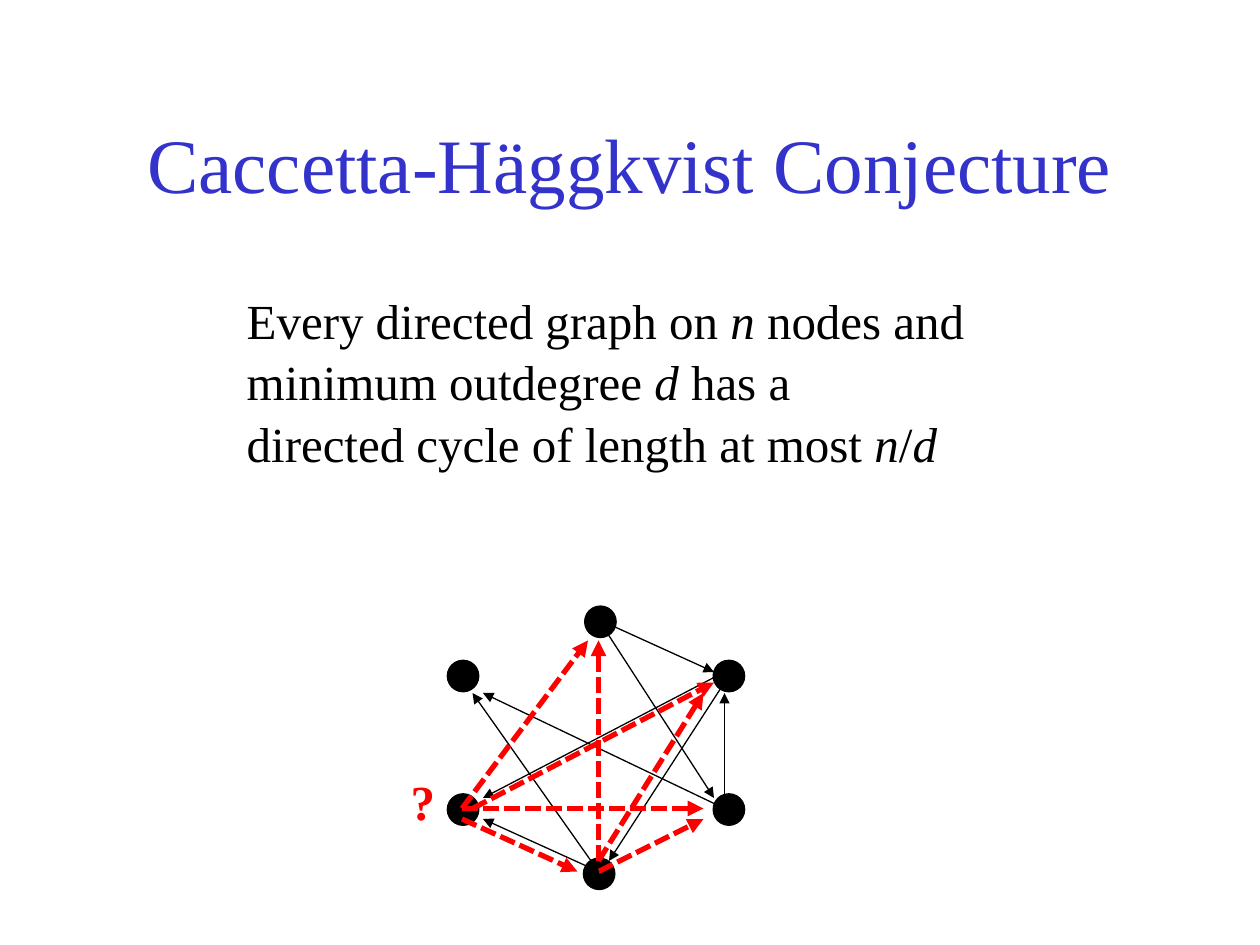
from lxml import etree
from pptx import Presentation
from pptx import util as u
from pptx.dml.color import RGBColor
from pptx.enum import dml, shapes, text
from pptx.oxml.ns import qn

COLORS = {"title": "3333CC", "ink": "000000", "question": "FF0000"}
FONT = "Times New Roman"
GRID = u.Inches(1) / 12
NODE_SIZE = 0.25

NODES = [(4.63, 6.81), (3.55, 6.3), (3.55, 5.24),
         (4.64, 4.81), (5.66, 5.24), (5.66, 6.3)]

# Arrow ends in grid columns and rows, from back to front
ARCS = [
    ("known", (57, 59), [(68, 64), (68, 76)]),
    ("known", (69, 65), [(58, 82)]),
    ("known", (69, 64), [(46, 76)]),
    ("known", (69, 77), [(69, 66), (46, 66)]),
    ("open", (57, 82), [(57, 61), (67, 66)]),
    ("open", (57, 83), [(67, 78)]),
    ("known", (57, 83), [(46, 78), (45, 66)]),
    ("open", (44, 77), [(56, 61)]),
    ("open", (45, 77), [(68, 65)]),
    ("open", (44, 77), [(67, 77)]),
    ("open", (44, 78), [(55, 83)]),
]

STATEMENT = [
    [("Every directed graph on ", False), ("n", True), (" nodes and", False)],
    [("minimum outdegree ", False), ("d", True), (" has a", False)],
    [("directed cycle of length at most ", False), ("n", True),
     ("/", False), ("d", True)],
]


def color(name):
    return RGBColor.from_string(COLORS[name])


def style(run, size, name, bold=False, italic=False):
    run.font.name = FONT
    run.font.size = u.Pt(size)
    run.font.bold = bold
    run.font.italic = italic
    run.font.color.rgb = color(name)


def set_title(slide, wording):
    title = slide.shapes.title
    title.left, title.top, title.width, title.height = map(
        u.Inches, (0.75, 0.67, 8.5, 1.25))
    frame = title.text_frame
    frame.text = wording
    frame.vertical_anchor = text.MSO_ANCHOR.MIDDLE
    heading = frame.paragraphs[0]
    heading.alignment = text.PP_ALIGN.CENTER
    style(heading.runs[0], 44, "title")


def add_lines(slide, box, lines, name, align, bold=False, wrap=True):
    frame = slide.shapes.add_textbox(*map(u.Inches, box)).text_frame
    frame.word_wrap = wrap
    for index, line in enumerate(lines):
        paragraph = frame.add_paragraph() if index else frame.paragraphs[0]
        paragraph.alignment = align
        paragraph.line_spacing = 1.05
        for wording, italic in line:
            run = paragraph.add_run()
            run.text = wording
            style(run, 28, name, bold, italic)


def add_node(slide, left, top):
    node = slide.shapes.add_shape(
        shapes.MSO_SHAPE.OVAL,
        *map(u.Inches, (left, top, NODE_SIZE, NODE_SIZE)))
    node.shadow.inherit = False
    node.fill.solid()
    node.fill.fore_color.rgb = color("ink")
    node.line.color.rgb = color("ink")
    node.line.width = u.Pt(0.75)


def add_arc(slide, status, start, end):
    arc = slide.shapes.add_connector(
        shapes.MSO_CONNECTOR.STRAIGHT,
        *(round(step * GRID) for step in start + end))
    is_open = status == "open"
    arc.line.color.rgb = color("question" if is_open else "ink")
    arc.line.width = u.Pt(3 if is_open else 0.75)
    if is_open:
        arc.line.dash_style = dml.MSO_LINE.ROUND_DOT
        arc.line.dash_style = dml.MSO_LINE.SQUARE_DOT
    properties = arc.line._get_or_add_ln()
    etree.SubElement(properties, qn("a:tailEnd"), type="triangle")
    etree.SubElement(properties.getparent(), qn("a:effectLst"))


def main():
    deck = Presentation()
    deck.slide_width, deck.slide_height = u.Inches(10), u.Inches(7.5)
    slide = deck.slides.add_slide(deck.slide_layouts[5])

    set_title(slide, "Caccetta-Häggkvist Conjecture")
    add_lines(slide, (1.86, 2.23, 6.32, 1.5), STATEMENT, "ink",
              text.PP_ALIGN.LEFT)
    for left, top in NODES:
        add_node(slide, left, top)
    for status, start, ends in ARCS:
        for end in ends:
            add_arc(slide, status, start, end)
    add_lines(slide, (3.16, 6.05, 0.39, 0.57), [[("?", False)]], "question",
              text.PP_ALIGN.CENTER, bold=True, wrap=False)

    deck.save("out.pptx")


if __name__ == "__main__":
    main()
